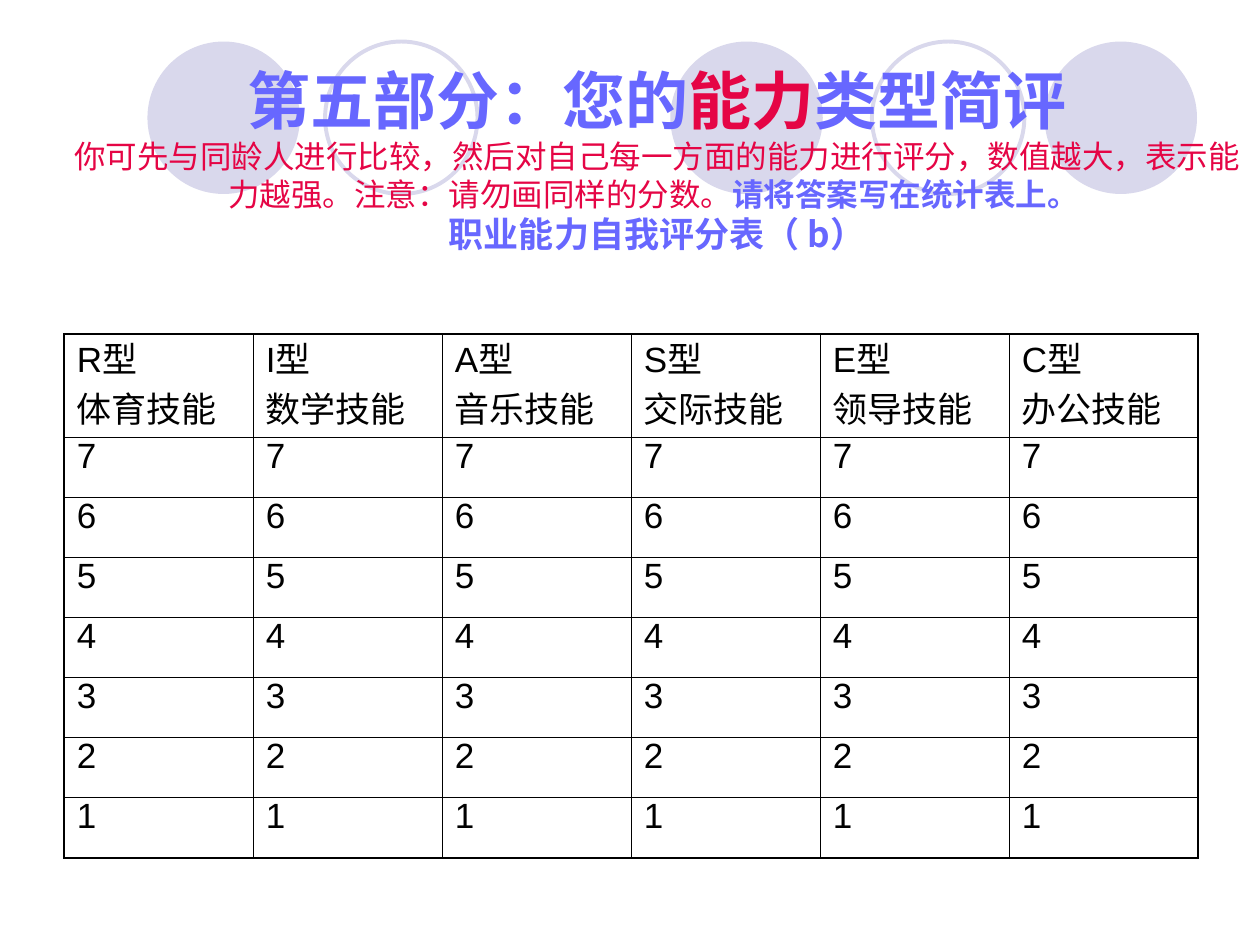
import pptx
import pptx.dml.color
import pptx.enum.shapes
import pptx.enum.text
import pptx.oxml.ns
import pptx.util
from lxml import etree
from pptx.util import Inches

LAVENDER = pptx.dml.color.RGBColor(0xD9, 0xD8, 0xEC)
VIOLET = pptx.dml.color.RGBColor(0x67, 0x67, 0xFF)
CRIMSON = pptx.dml.color.RGBColor(0xE5, 0x05, 0x45)
BLACK = pptx.dml.color.RGBColor(0, 0, 0)
LATIN_FONT = "Arial"
CHINESE_FONT = "Noto Sans CJK SC"
OUTER_LINE, INNER_LINE = 1.08, 0.45

CIRCLES = [(5.32, True), (8.29, True), (1.17, True), (6.92, False), (2.58, False)]

HEADLINE = {"size": 36, "bold": True, "name": LATIN_FONT}
TITLE_LINES = [
    [("第五部分：您的", {**HEADLINE, "color": VIOLET}),
     ("能力", {**HEADLINE, "color": CRIMSON}),
     ("类型简评", {**HEADLINE, "color": VIOLET})],
    [("你可先与同龄人进行比较，然后对自己每一方面的能力进行评分，数值越大，"
      "表示能力越强。注意：请勿画同样的分数。",
      {"size": 18, "bold": False, "name": LATIN_FONT, "color": CRIMSON}),
     ("请将答案写在统计表上。 ",
      {"size": 18, "bold": True, "name": CHINESE_FONT, "color": VIOLET})],
    [("职业能力自我评分表（ b）",
      {"size": 20, "bold": True, "name": CHINESE_FONT, "color": VIOLET})],
]

SKILLS = {"R型": "体育技能", "I型": "数学技能", "A型": "音乐技能",
          "S型": "交际技能", "E型": "领导技能", "C型": "办公技能"}
TOP_SCORE = 7
CELL_FORMAT = {"size": 20, "bold": False, "name": LATIN_FONT, "color": BLACK}


def add_span(para, text, style):
    span = para.add_run()
    span.text = text
    for key, value in style.items():
        if key == "color":
            span.font.color.rgb = value
        else:
            setattr(span.font, key, pptx.util.Pt(value) if key == "size" else value)
    east_asian = etree.SubElement(span.font._element, pptx.oxml.ns.qn("a:ea"))
    east_asian.set("typeface", CHINESE_FONT)


def add_circles(page, top, diameter):
    for left, filled in CIRCLES:
        circle = page.shapes.add_shape(
            pptx.enum.shapes.MSO_SHAPE.OVAL,
            Inches(left), Inches(top), Inches(diameter), Inches(diameter))
        circle.shadow.inherit = False
        if filled:
            circle.fill.solid()
            circle.fill.fore_color.rgb = LAVENDER
            circle.line.fill.background()
        else:
            circle.fill.background()
            circle.line.color.rgb = LAVENDER
            circle.line.width = pptx.util.Pt(2.25)


def add_title(page, left, top, width, height):
    box = page.shapes.add_textbox(
        Inches(left), Inches(top), Inches(width), Inches(height))
    frame = box.text_frame
    frame.word_wrap = True
    frame.vertical_anchor = pptx.enum.text.MSO_ANCHOR.TOP
    para = frame.paragraphs[0]
    para.alignment = pptx.enum.text.PP_ALIGN.CENTER
    for index, line in enumerate(TITLE_LINES):
        if index:
            para.add_line_break()
        for text, style in line:
            add_span(para, text, style)


def set_borders(cell, widths):
    """Draw black cell edges; widths maps L, R, T and B, in that order, to points."""
    properties = cell._tc.get_or_add_tcPr()
    for side, width in widths.items():
        edge = etree.SubElement(properties, pptx.oxml.ns.qn(f"a:ln{side}"))
        edge.set("w", str(int(pptx.util.Pt(width))))
        fill = etree.SubElement(edge, pptx.oxml.ns.qn("a:solidFill"))
        etree.SubElement(fill, pptx.oxml.ns.qn("a:srgbClr")).set("val", str(BLACK))


def fill_cell(cell, lines):
    cell.fill.background()
    frame = cell.text_frame
    for index, text in enumerate(lines):
        para = frame.add_paragraph() if index else frame.paragraphs[0]
        para.line_spacing = 0.8
        para.space_before = pptx.util.Pt(5)
        add_span(para, text, CELL_FORMAT)


def add_score_table(page, left, top, width, height, header_height):
    scores = range(TOP_SCORE, 0, -1)
    rows = [list(SKILLS.items())] + [[(str(score),)] * len(SKILLS) for score in scores]
    table = page.shapes.add_table(
        len(rows), len(SKILLS),
        Inches(left), Inches(top), Inches(width), Inches(height)).table
    table.first_row = table.horz_banding = False
    for column in table.columns:
        column.width = Inches(width / len(SKILLS))
    for index, row in enumerate(table.rows):
        row.height = Inches((height - header_height) / TOP_SCORE if index else header_height)

    last_row, last_column = len(rows) - 1, len(SKILLS) - 1
    for row_index, row in enumerate(rows):
        for column_index, lines in enumerate(row):
            cell = table.cell(row_index, column_index)
            on_outside = {"L": column_index == 0, "R": column_index == last_column,
                          "T": row_index == 0, "B": row_index == last_row}
            set_borders(cell, {side: OUTER_LINE if outside else INNER_LINE
                               for side, outside in on_outside.items()})
            fill_cell(cell, lines)


def main():
    deck = pptx.Presentation()
    deck.slide_width, deck.slide_height = Inches(10), Inches(7.5)
    page = deck.slides.add_slide(deck.slide_layouts[6])
    add_circles(page, top=0.33, diameter=1.21)
    add_title(page, 0.43, 0.44, 9.57, 1.81)
    add_score_table(page, 0.51, 2.65, 9, 4.16, header_height=0.82)
    deck.save("out.pptx")


if __name__ == "__main__":
    main()
